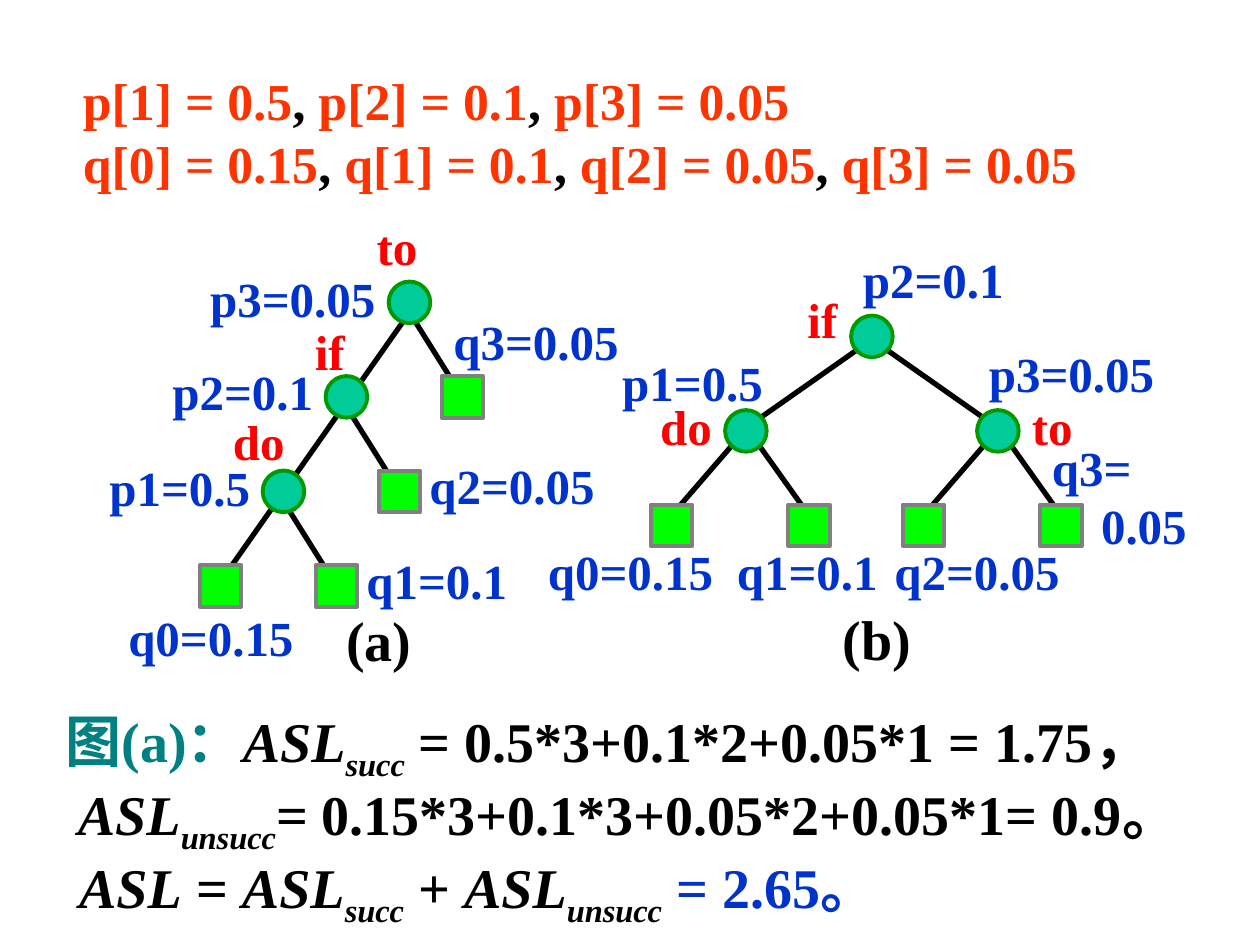
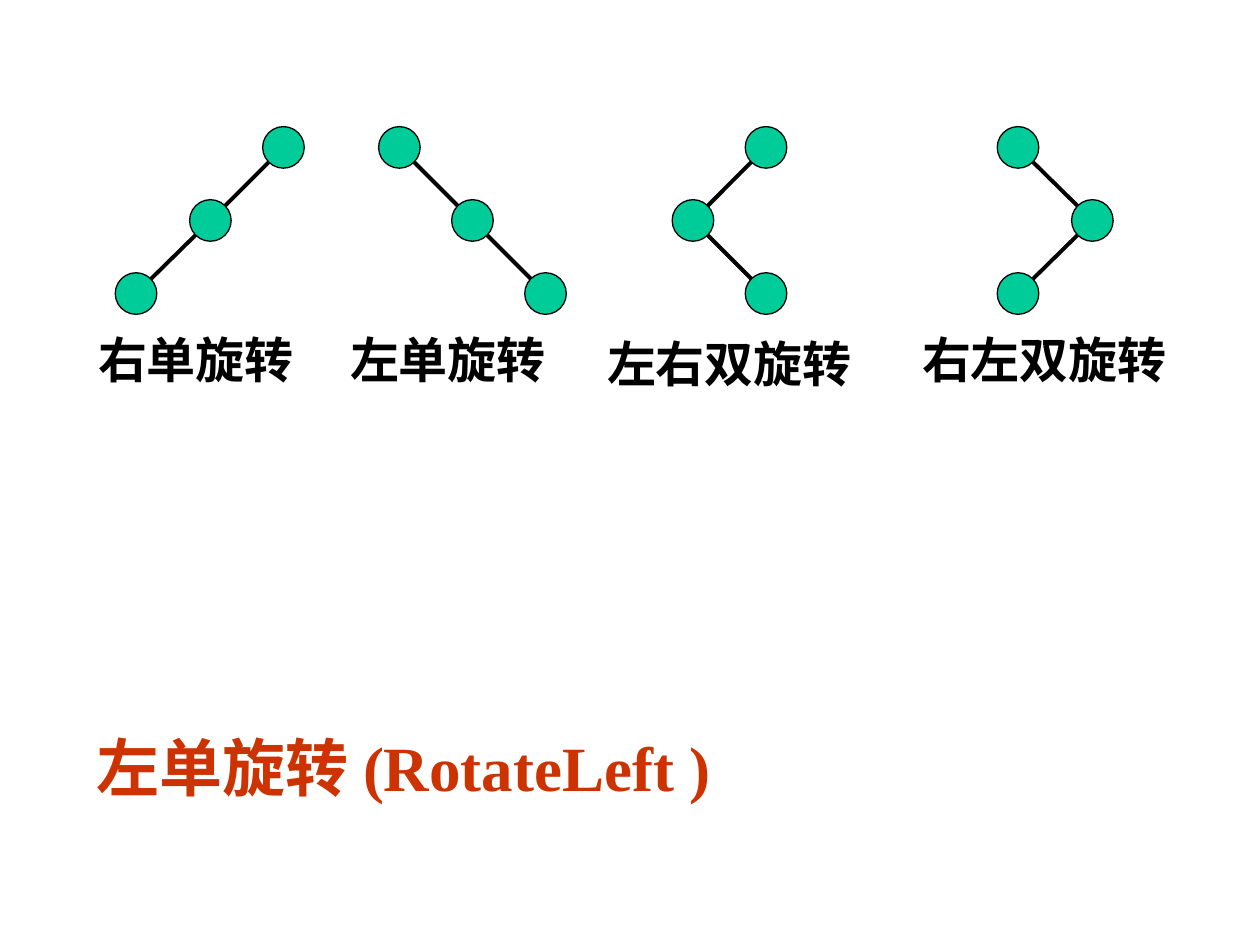
from dataclasses import dataclass

from lxml import etree
from pptx import Presentation
from pptx.dml.color import RGBColor
from pptx.enum.shapes import MSO_CONNECTOR, MSO_SHAPE
from pptx.enum.text import MSO_ANCHOR, MSO_AUTO_SIZE, PP_ALIGN
from pptx.oxml.ns import qn
from pptx.util import Inches, Pt

OVAL, SQUARE = MSO_SHAPE.OVAL, MSO_SHAPE.RECTANGLE
STRAIGHT = MSO_CONNECTOR.STRAIGHT
TOP, MIDDLE = MSO_ANCHOR.TOP, MSO_ANCHOR.MIDDLE
LEFT, JUSTIFY = PP_ALIGN.LEFT, PP_ALIGN.JUSTIFY
FIXED = MSO_AUTO_SIZE.NONE


@dataclass(frozen=True)
class Theme:
    font: str = "Times New Roman"
    black: str = "000000"
    orange: str = "FF3300"
    red: str = "FF0000"
    blue: str = "0033CC"
    teal: str = "008080"
    title: str = "CC3300"
    node: str = "00CC99"
    node_edge: str = "009900"
    leaf: str = "00FF00"
    leaf_edge: str = "808080"
    label_size: float = 28
    given_size: float = 29.6
    formula_size: float = 32
    title_size: float = 36
    node_side: float = 0.33


class Deck:
    """Holds the theme and the slide being drawn."""

    def __init__(self, theme):
        self.theme = theme
        self.prs = Presentation()
        self.prs.slide_width, self.prs.slide_height = Inches(10), Inches(7.5)
        self.slide = None

    def new_slide(self):
        self.slide = self.prs.slides.add_slide(self.prs.slide_layouts[6])

    def edge(self, start, end, width):
        line = self.slide.shapes.add_connector(
            STRAIGHT, *(Inches(v) for v in (*start, *end)))
        line.line.color.rgb = RGBColor.from_string(self.theme.black)
        line.line.width = Pt(width)
        etree.SubElement(line._element.spPr, qn("a:effectLst"))

    def mark(self, kind, centre, fill, outline, width):
        side = self.theme.node_side
        x, y = centre
        shape = self.slide.shapes.add_shape(
            kind, Inches(x - side / 2), Inches(y - side / 2), Inches(side), Inches(side))
        shape.shadow.inherit = False
        shape.fill.solid()
        shape.fill.fore_color.rgb = RGBColor.from_string(fill)
        shape.line.color.rgb = RGBColor.from_string(outline)
        shape.line.width = Pt(width)

    def node(self, centre):
        self.mark(OVAL, centre, self.theme.node, self.theme.node_edge, 2.25)

    def leaf(self, centre):
        self.mark(SQUARE, centre, self.theme.leaf, self.theme.leaf_edge, 2.25)

    def text(self, box, paragraphs, size, anchor=TOP, align=LEFT, spacing=None):
        """Each paragraph is (indent, runs); each run is (text, colour, styles)."""
        frame = self.slide.shapes.add_textbox(*(Inches(v) for v in box)).text_frame
        frame.word_wrap, frame.auto_size = True, FIXED
        frame.vertical_anchor = anchor
        for number, (indent, runs) in enumerate(paragraphs):
            para = frame.add_paragraph() if number else frame.paragraphs[0]
            para.alignment = align
            if spacing:
                para.line_spacing = spacing
            para._p.get_or_add_pPr().set("marL", str(Inches(indent)))
            for words, colour, styles in runs:
                run = para.add_run()
                run.text = words
                font = run.font
                font.name, font.size, font.bold = self.theme.font, Pt(size), True
                font.italic = "italic" in styles
                font.color.rgb = RGBColor.from_string(colour)
                if "sub" in styles:
                    run._r.get_or_add_rPr().set("baseline", "-25000")

    def label(self, left, top, width, words, colour, size=None, height=0.57):
        """One line in a box with room to spare."""
        self.text((left, top, width, height), [(0, [(words, colour, "")])],
                  size or self.theme.label_size)


def probabilities(deck):
    t = deck.theme
    given = [
        ["p[1] = 0.5", "p[2] = 0.1", "p[3] = 0.05"],
        ["q[0] = 0.15", "q[1] = 0.1", "q[2] = 0.05", "q[3] = 0.05"],
    ]
    lines = []
    for values in given:
        runs = []
        for value in values:
            if runs:
                runs.append((", ", t.black, ""))
            runs.append((value, t.orange, ""))
        lines.append((0.31, runs))
    deck.text((0.25, 0.5, 9.5, 1.17), lines, t.given_size)


def left_chain_tree(deck):
    """Tree (a): every internal node hangs left of the one above."""
    steps = [(3.25 - 0.5 * k, 2.4 + 0.75 * k) for k in range(3)]
    for x, y in steps:
        deck.edge((x, y + 0.08), (x + 0.42, y + 0.75), 3)
    deck.edge((3.25, 2.48), (1.67, 4.73), 3)
    for x, y in steps:
        deck.node((x, y))
        deck.leaf((x + 0.42, y + 0.75))
    deck.leaf((1.75, 4.65))


def balanced_tree(deck):
    """Tree (b): one root, two children, four leaves."""
    root_x, root_y, child_y, leaf_y = 6.92, 2.67, 3.42, 4.17
    near = 0.08
    for side in (-1, 1):
        child_x = root_x + side
        deck.edge((root_x + side * near, root_y + near),
                  (child_x - side * near, child_y - near), 3)
        for turn, reach in ((-1, 0.59), (1, 0.5)):
            leaf_x = child_x + turn * reach
            deck.edge((child_x + turn * near, child_y + near), (leaf_x, leaf_y - near), 3)
            deck.leaf((leaf_x, leaf_y))
        deck.node((child_x, child_y))
    deck.node((root_x, root_y))


def tree_labels(deck):
    t = deck.theme
    keys = [
        ("do", 1.75, 3.22), ("if", 2.4, 2.5), ("to", 2.89, 1.67),
        ("do", 5.14, 3.1), ("if", 6.31, 2.25), ("to", 8.09, 3.1),
    ]
    for key, left, top in keys:
        deck.label(left, top, 0.65, key, t.red)

    weights = [
        ("q0=0.15", 0.92, 4.77), ("q1=0.1", 2.81, 4.32), ("p1=0.5", 0.77, 3.58),
        ("q2=0.05", 3.31, 3.57), ("p2=0.1", 1.27, 2.82), ("q3=0.05", 3.5, 2.42),
        ("p3=0.05", 1.57, 2.08), ("q0=0.15", 4.25, 4.25), ("q1=0.1", 5.75, 4.25),
        ("q2=0.05", 7, 4.25), ("p1=0.5", 4.84, 2.75), ("p2=0.1", 6.75, 1.93),
        ("p3=0.05", 7.75, 2.68),
    ]
    for weight, left, top in weights:
        deck.label(left, top, 1.56 if len(weight) == 7 else 1.36, weight, t.blue)
    deck.text((8.25, 3.42, 1.32, 1.04),
              [(0, [("q3=", t.blue, "")]), (0.39, [("0.05", t.blue, "")])],
              t.label_size)

    for caption, left, top in (("(a)", 2.65, 4.76), ("(b)", 6.59, 4.75)):
        deck.label(left, top, 0.8, caption, t.black, t.formula_size, 0.64)


def search_lengths(deck):
    t = deck.theme

    def asl(subscript=""):
        runs = [("ASL", t.black, ("italic",))]
        if subscript:
            runs.append((subscript, t.black, ("italic", "sub")))
        return runs

    def plain(words, colour=t.black):
        return [(words, colour, "")]

    lines = [
        (0, plain("图(a)：", t.teal) + asl("succ")
            + plain(" = 0.5*3+0.1*2+0.05*1 = 1.75，")),
        (0.1, asl("unsucc") + plain("= 0.15*3+0.1*3+0.05*2+0.05*1= 0.9。")),
        (0.11, asl() + plain(" = ") + asl("succ") + plain(" + ") + asl("unsucc")
            + plain(" = 2.65。", t.blue)),
    ]
    deck.text((0.42, 5.56, 9.58, 1.83), lines, t.formula_size, spacing=0.95)


def rotations(deck):
    t = deck.theme
    levels = (1.17, 1.75, 2.33)
    # Node centres from top to bottom, then the caption's place
    cases = [
        ("右单旋转", (2.25, 1.67, 1.08), 0.68, 2.57, 1.8),
        ("左单旋转", (3.17, 3.75, 4.33), 2.68, 2.57, 1.8),
        ("左右双旋转", (6.08, 5.5, 6.08), 4.72, 2.6, 2.2),
        ("右左双旋转", (8.08, 8.67, 8.08), 7.22, 2.57, 2.2),
    ]
    for caption, columns, left, top, width in cases:
        centres = list(zip(columns, levels))
        for upper, lower in zip(centres, centres[1:]):
            deck.edge(upper, lower, 2.25)
        for centre in centres:
            deck.mark(OVAL, centre, t.node, t.black, 0.75)
        deck.label(left, top, width, caption, t.black)

    deck.text((0.67, 5.75, 5.17, 0.67),
              [(0, [("左单旋转 (RotateLeft )", t.title, "")])],
              t.title_size, anchor=MIDDLE, align=JUSTIFY)


def main():
    deck = Deck(Theme())

    # Two search trees and their average search lengths
    deck.new_slide()
    probabilities(deck)
    left_chain_tree(deck)
    balanced_tree(deck)
    tree_labels(deck)
    search_lengths(deck)

    # The four kinds of rotation
    deck.new_slide()
    rotations(deck)

    deck.prs.save("out.pptx")


if __name__ == "__main__":
    main()
